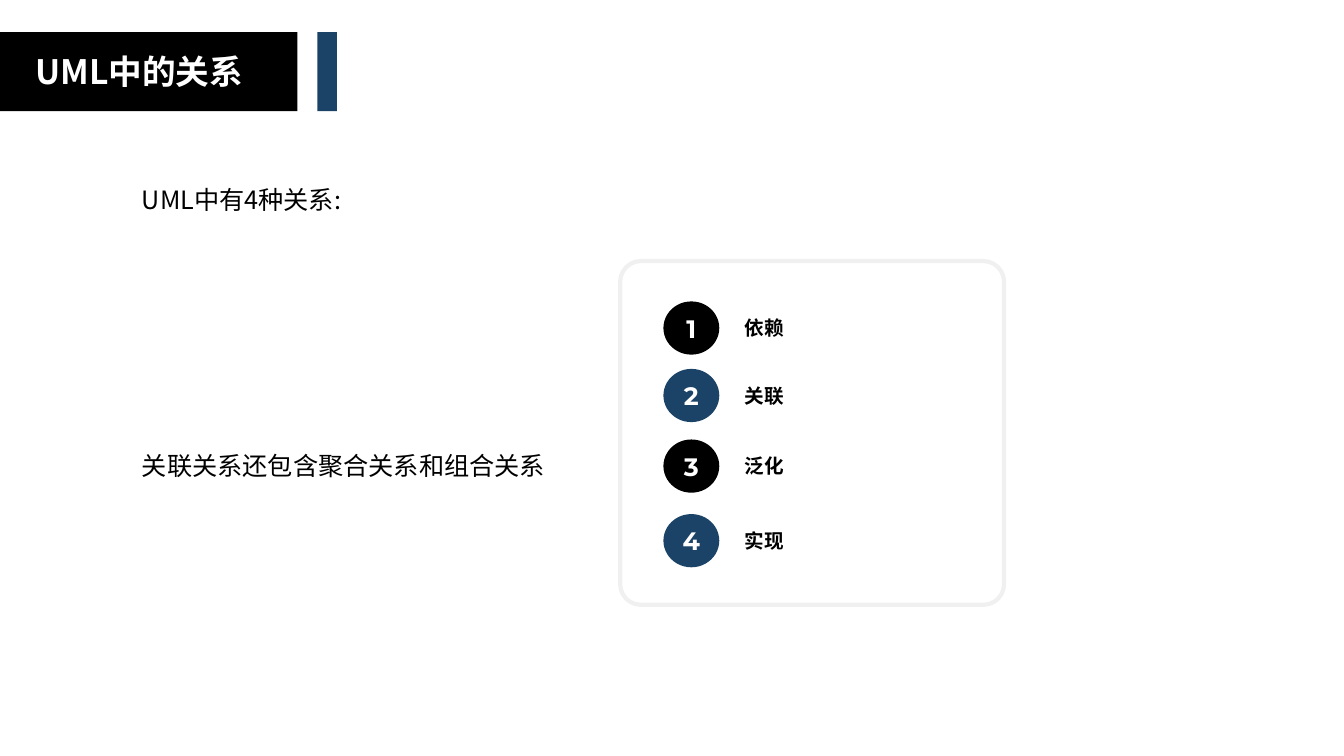
"""Build the slide that lists the four relationships in UML."""
from lxml import etree
from pptx import Presentation
from pptx import util as u
from pptx.dml.color import RGBColor
from pptx.enum import shapes, text
from pptx.oxml.ns import qn

BLACK, NAVY, WHITE = "000000", "1B4367", "FFFFFF"
SANS_SC, SANS_JP, ROUND = "Noto Sans CJK SC", "Noto Sans CJK JP", "Montserrat"

TITLE = "UML中的关系"
BODY = ["UML中有4种关系:", "关联关系还包含聚合关系和组合关系"]
BODY_GAP = 168
RELATIONS = [("依赖", 215.3), ("关联", 263.5), ("泛化", 313.9), ("实现", 367.2)]

BAR_TOP, BAR_HEIGHT = 23, 56.5
BARS = [(0, 212.4, BLACK), (226.8, 13.9, NAVY)]
BADGE_LEFT, BADGE_WIDTH, BADGE_HEIGHT = 473.9, 39.9, 38
LABEL_LEFT, LABEL_WIDTH, LABEL_HEIGHT = 524.9, 187, 24.5
CARD = (443, 186.5, 274.2, 245.5)

TITLE_FORMAT = {"name": SANS_SC, "size": u.Pt(24), "bold": True}
BODY_FORMAT = {"name": SANS_JP, "size": u.Pt(18), "bold": False}
BADGE_FORMAT = {"name": ROUND, "size": u.Pt(18), "bold": True}
LABEL_FORMAT = {"name": ROUND, "size": u.Pt(14), "bold": True}
CENTER, LEFT = text.PP_ALIGN.CENTER, text.PP_ALIGN.LEFT
MIDDLE, TOP = text.MSO_ANCHOR.MIDDLE, text.MSO_ANCHOR.TOP


def paint(color_format, hex_color):
    color_format.rgb = RGBColor.from_string(hex_color)


def write(frame, lines, font_format, color, align, anchor, gap=0):
    frame.word_wrap = True
    frame.vertical_anchor = anchor
    for index, line in enumerate(lines):
        paragraph = frame.add_paragraph() if index else frame.paragraphs[0]
        paragraph.alignment = align
        paragraph.space_before = u.Pt(gap if index else 0)
        run = paragraph.add_run()
        run.text = line
        for key, value in font_format.items():
            setattr(run.font, key, value)
        paint(run.font.color, color)
        east_asian = SANS_SC if font_format["name"] == ROUND else font_format["name"]
        latin = run.font._element.find(qn("a:latin"))
        latin.addnext(latin.makeelement(qn("a:ea"), {"typeface": east_asian}))


def add_block(slide, kind, box, color=None):
    block = slide.shapes.add_shape(kind, *map(u.Pt, box))
    block.shadow.inherit = False
    if color:
        block.fill.solid()
        paint(block.fill.fore_color, color)
        block.line.fill.background()
    else:
        block.fill.background()
    return block


def add_text(slide, box, *content):
    frame = slide.shapes.add_textbox(*map(u.Pt, box)).text_frame
    write(frame, *content)


def main():
    deck = Presentation()
    deck.slide_width, deck.slide_height = u.Pt(960), u.Pt(540)
    slide = deck.slides.add_slide(deck.slide_layouts[6])

    for left, width, color in BARS:
        add_block(slide, shapes.MSO_SHAPE.RECTANGLE, (left, BAR_TOP, width, BAR_HEIGHT), color)
    add_text(slide, (0, 33.1, 198.7, 36), [TITLE], TITLE_FORMAT, WHITE, CENTER, MIDDLE)
    add_text(slide, (94.3, 128.2, 314.6, 247), BODY, BODY_FORMAT, BLACK, LEFT, TOP, BODY_GAP)

    for number, (label, top) in enumerate(RELATIONS, 1):
        badge = add_block(slide, shapes.MSO_SHAPE.OVAL,
                          (BADGE_LEFT, top, BADGE_WIDTH, BADGE_HEIGHT),
                          BLACK if number % 2 else NAVY)
        for side in ("left", "right", "top", "bottom"):
            setattr(badge.text_frame, f"margin_{side}", 0)
        write(badge.text_frame, [str(number)], BADGE_FORMAT, WHITE, CENTER, MIDDLE)
        label_top = top + (BADGE_HEIGHT - LABEL_HEIGHT) / 2
        add_text(slide, (LABEL_LEFT, label_top, LABEL_WIDTH, LABEL_HEIGHT),
                 [label], LABEL_FORMAT, BLACK, LEFT, MIDDLE)

    card = add_block(slide, shapes.MSO_SHAPE.ROUNDED_RECTANGLE, CARD)
    card.adjustments[0] = 0.06
    card.line.width = u.Pt(3)
    paint(card.line.color, BLACK)
    tint = card.line._ln.find(".//" + qn("a:srgbClr"))
    etree.SubElement(tint, qn("a:alpha"), val="5000")

    deck.save("out.pptx")


if __name__ == "__main__":
    main()
